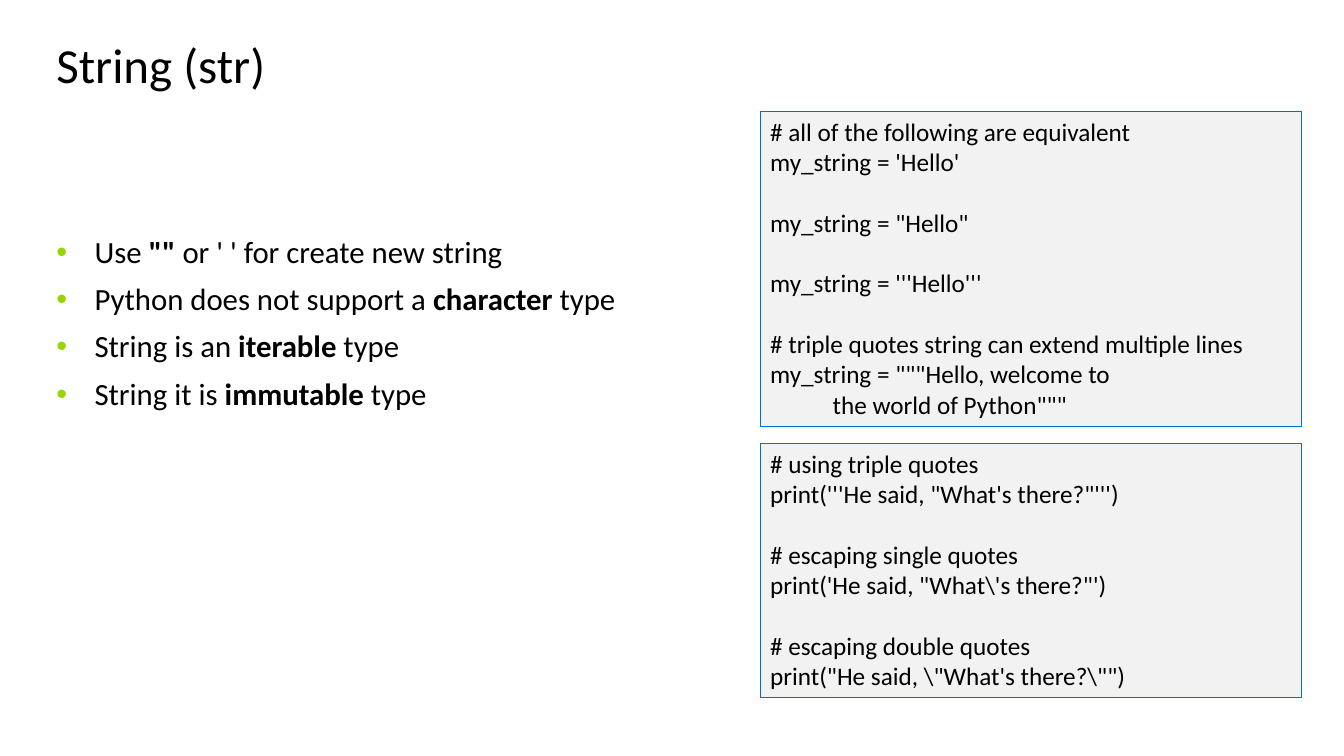
"""Build the slide on Python strings: title, bullet list and two code boxes."""
from dataclasses import dataclass

from lxml.etree import SubElement as Sub
from pptx import Presentation
from pptx.dml.color import RGBColor as Rgb
from pptx.enum.shapes import MSO_SHAPE as Kind
from pptx.enum.text import MSO_ANCHOR as Anchor, PP_ALIGN as Align
from pptx.oxml.ns import qn
from pptx.util import Inches, Pt

TITLE = "String (str)"

POINTS = [
    [("Use ", False), ('""', True), (" or ' ' for create new string", False)],
    [("Python does not support a ", False), ("character", True), (" type", False)],
    [("String is an ", False), ("iterable", True), (" type", False)],
    [("String it is ", False), ("immutable", True), (" type", False)],
]

QUOTES = [
    ["# all of the following are equivalent", "my_string = 'Hello'"],
    ['my_string = "Hello"'],
    ["my_string = '''Hello'''"],
    [
        "# triple quotes string can extend multiple lines",
        'my_string = """Hello, welcome to',
        '           the world of Python"""',
    ],
]

ESCAPES = [
    ["# using triple quotes", "print('''He said, \"What's there?\"''')"],
    ["# escaping single quotes", r"""print('He said, "What\'s there?"')"""],
    ["# escaping double quotes", r'''print("He said, \"What's there?\"")'''],
]


@dataclass(frozen=True)
class Theme:
    font: str = "Calibri"
    ink: str = "000000"
    dot: str = "95D600"
    fill: str = "F2F2F2"
    edge: str = "0070C0"
    head: float = 35
    body: float = 22
    code: float = 18


LOOK = Theme()
LEFT, INDENT = 0.46, 0.38
CODE_X, CODE_Y, CODE_W = 7.54, 1.1, 5.37
CODE_GAP, CODE_PAD = 0.17, 0.1
CODE_LINE = 21.8


def add_dot(para):
    """Give a paragraph a hanging, coloured bullet."""
    props = para._p.get_or_add_pPr()
    props.set("marL", str(Inches(INDENT)))
    props.set("indent", str(-Inches(INDENT)))
    tint = Sub(props, qn("a:buClr"))
    Sub(tint, qn("a:srgbClr"), val=LOOK.dot)
    Sub(props, qn("a:buFont"), typeface="Arial")
    Sub(props, qn("a:buChar"), char="•")


def write(shape, paras, size, gaps=None, lead=1.0, dots=False, top=0.05, anchor=Anchor.TOP):
    """Write paragraphs of (text, bold) runs into a shape."""
    frame = shape.text_frame
    frame.word_wrap = True
    frame.vertical_anchor = anchor
    frame.margin_top = Inches(top)
    gaps = gaps or [0] * len(paras)
    for i, (runs, gap) in enumerate(zip(paras, gaps)):
        para = frame.paragraphs[0] if i == 0 else frame.add_paragraph()
        para.alignment = Align.LEFT
        para.line_spacing = lead
        para.space_before = Pt(gap)
        if dots:
            add_dot(para)
        for text, bold in runs:
            run = para.add_run()
            run.text = text
            font = run.font
            font.name, font.size, font.bold = LOOK.font, Pt(size), bold
            font.color.rgb = Rgb.from_string(LOOK.ink)


def add_code(slide, groups, y):
    """Draw a code box at height y and return its bottom edge."""
    lines = [line for group in groups for line in group]
    gaps = [
        CODE_LINE if i and not j else 0
        for i, group in enumerate(groups)
        for j in range(len(group))
    ]
    high = (len(lines) + len(groups) - 1) * CODE_LINE / 72 + CODE_PAD
    box = slide.shapes.add_shape(
        Kind.RECTANGLE, Inches(CODE_X), Inches(y), Inches(CODE_W), Inches(high)
    )
    box.shadow.inherit = False
    box.fill.solid()
    box.fill.fore_color.rgb = Rgb.from_string(LOOK.fill)
    box.line.color.rgb = Rgb.from_string(LOOK.edge)
    box.line.width = Pt(0.5)
    write(box, [[(line, False)] for line in lines], LOOK.code, gaps)
    return y + high


def main():
    """Place every part and save the deck."""
    deck = Presentation()
    deck.slide_width, deck.slide_height = Inches(13.33), Inches(7.5)
    slide = deck.slides.add_slide(deck.slide_layouts[6])

    body = slide.shapes.add_textbox(Inches(LEFT), Inches(1.35), Inches(6.85), Inches(4.97))
    gaps = [0] + [10] * (len(POINTS) - 1)
    write(body, POINTS, LOOK.body, gaps, lead=0.9, dots=True, top=1)

    head = slide.shapes.add_textbox(Inches(LEFT), Inches(0.38), Inches(12.59), Inches(0.58))
    write(head, [[(TITLE, False)]], LOOK.head, lead=0.9, anchor=Anchor.MIDDLE)

    y = CODE_Y
    for groups in (QUOTES, ESCAPES):
        y = add_code(slide, groups, y) + CODE_GAP

    deck.save("out.pptx")


if __name__ == "__main__":
    main()
